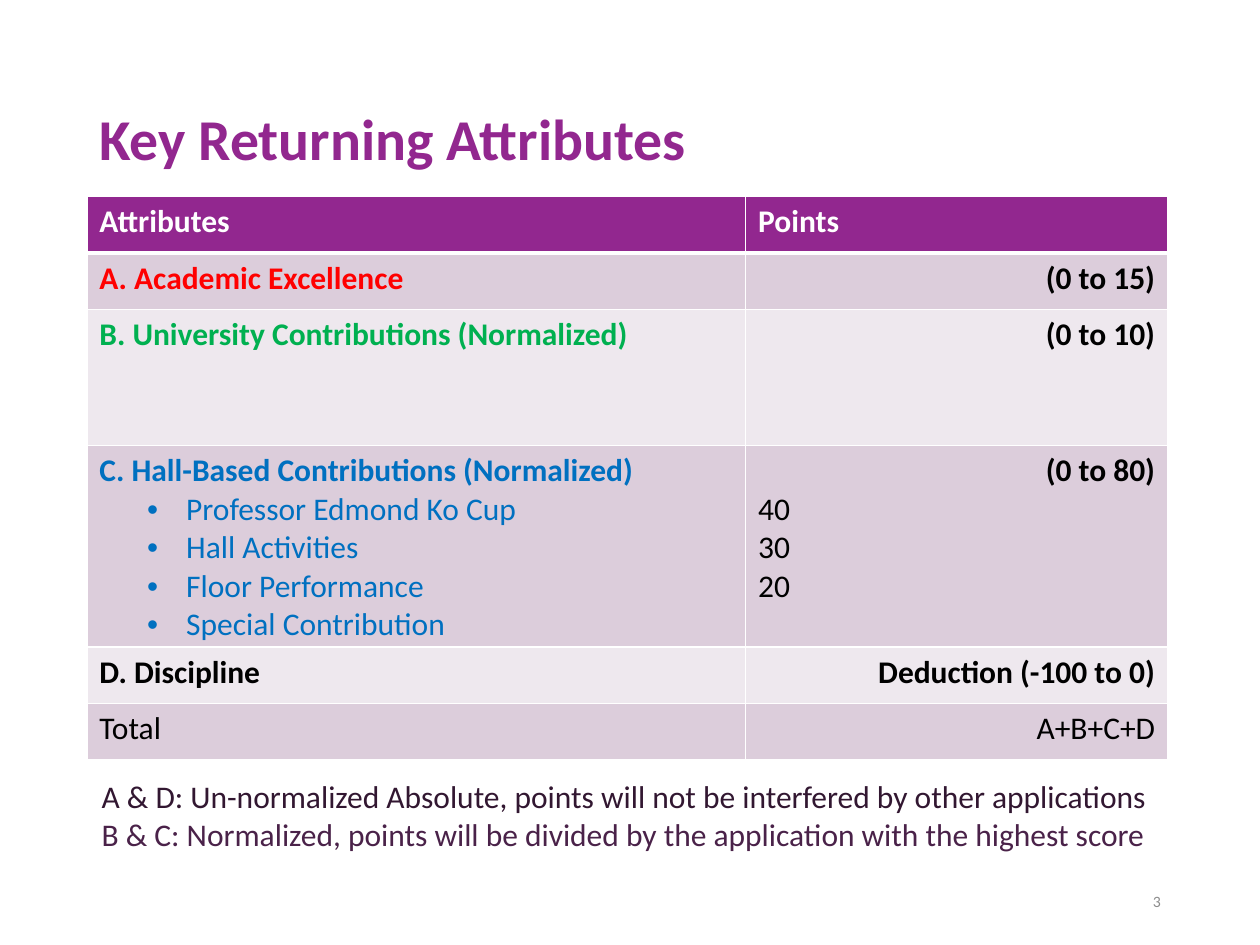
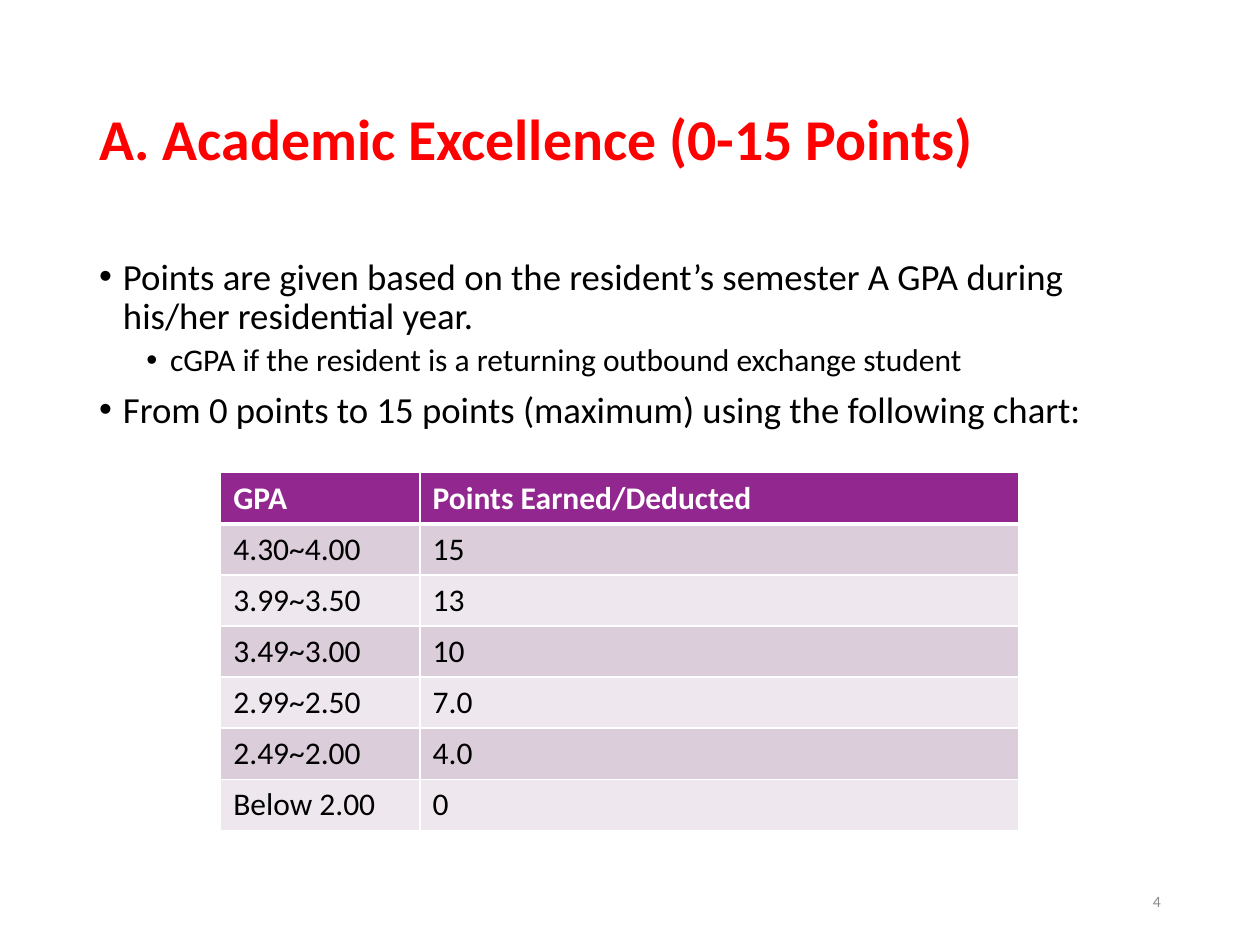
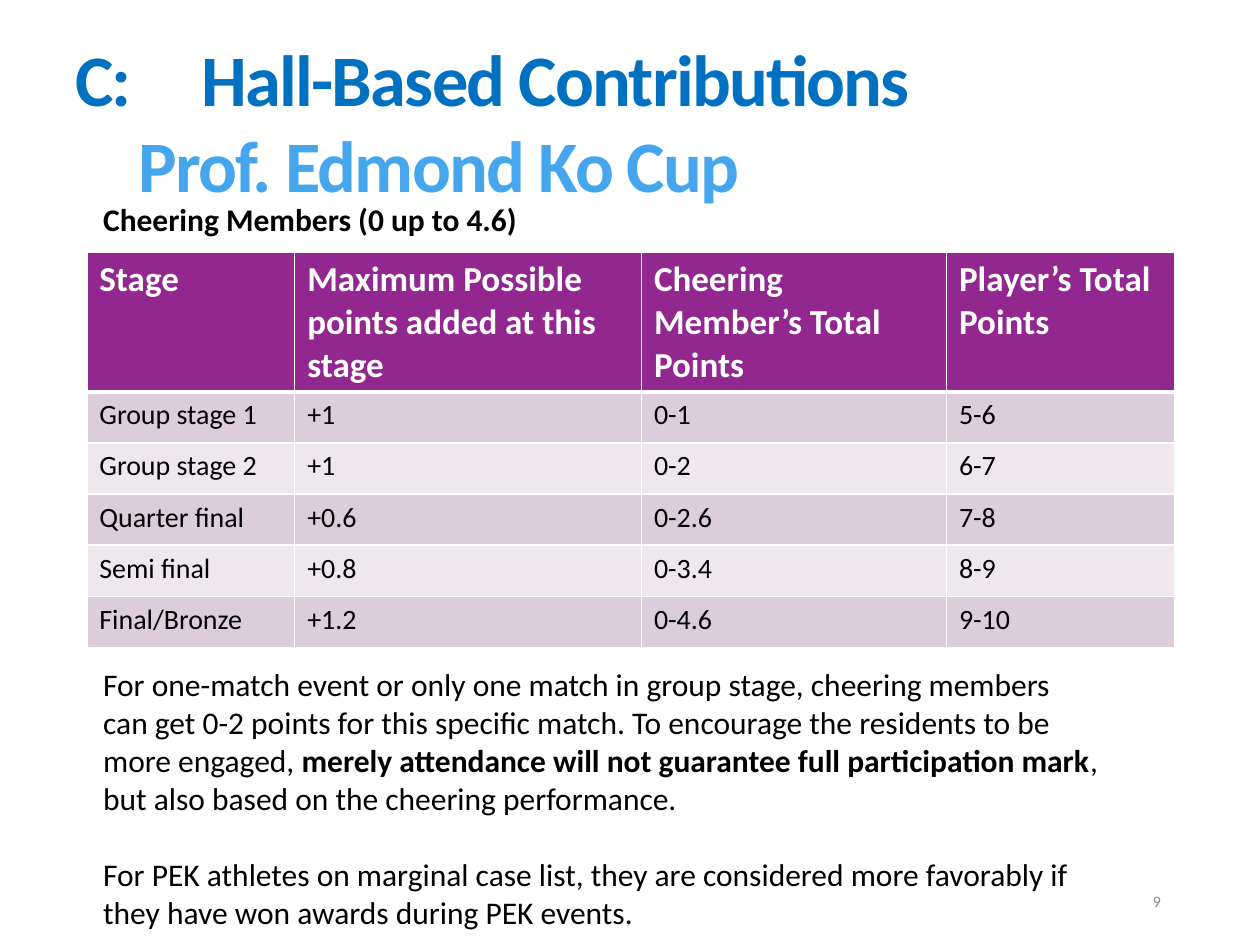
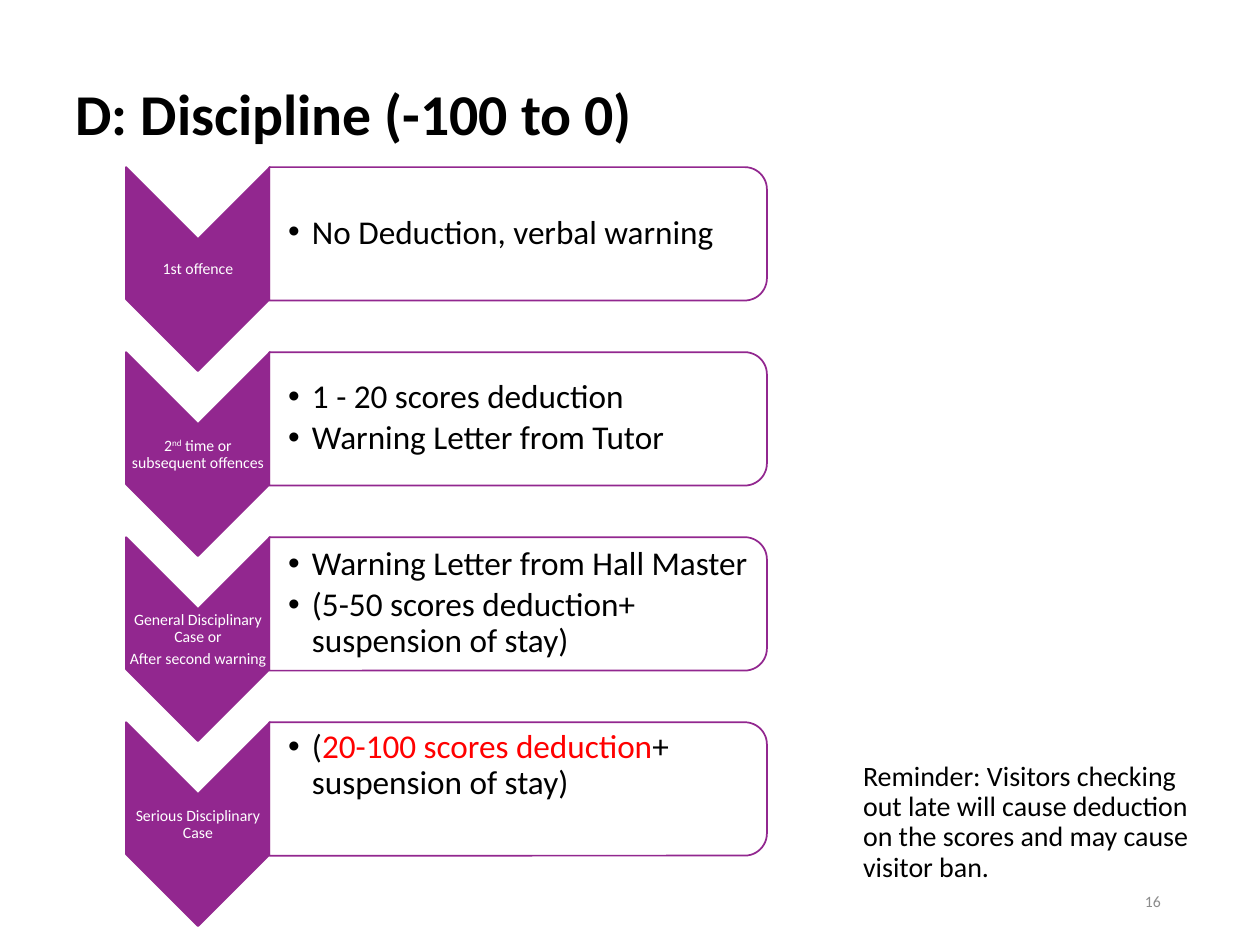
from dataclasses import dataclass

from lxml import etree
from pptx import Presentation
from pptx.dml.color import RGBColor
from pptx.enum.shapes import MSO_SHAPE
from pptx.enum.text import MSO_ANCHOR, PP_ALIGN
from pptx.oxml.ns import qn
from pptx.util import Cm, Pt

LEFT, CENTER, RIGHT = PP_ALIGN.LEFT, PP_ALIGN.CENTER, PP_ALIGN.RIGHT
TOP, MIDDLE = MSO_ANCHOR.TOP, MSO_ANCHOR.MIDDLE
CHEVRON, ROUND_TOP_RECTANGLE = MSO_SHAPE.CHEVRON, MSO_SHAPE.ROUND_2_SAME_RECTANGLE
BLANK_LAYOUT = 6


@dataclass(frozen=True)
class Theme:
    font: str = "Calibri"
    purple: str = "92278F"
    band_dark: str = "DCCDDB"
    band_light: str = "EEE8EE"
    white: str = "FFFFFF"
    black: str = "000000"
    gray: str = "8C8C8C"
    red: str = "FF0000"
    green: str = "00B050"
    blue: str = "0070C0"
    light_blue: str = "45A5ED"
    plum_dark: str = "321731"
    plum: str = "4A2249"
    large_title_size: float = 41.4
    title_size: float = 33
    body_size: float = 21
    table_heading_size: float = 20
    step_size: float = 19
    text_size: float = 18
    note_size: float = 16
    small_size: float = 9


THEME = Theme()


def rgb(color):
    return RGBColor.from_string(color)


def add_run(paragraph, text, size, color, bold=False, spacing=None, baseline=None):
    """Add text to a paragraph; a newline in it becomes a line break."""
    for index, line in enumerate(text.split("\n")):
        if index:
            paragraph.add_line_break()
        run = paragraph.add_run()
        run.text = line
        run.font.name = THEME.font
        run.font.size = Pt(size)
        run.font.bold = bold
        run.font.color.rgb = rgb(color)
        properties = run.font._element
        if spacing is not None:
            properties.set("spc", str(round(spacing * 100)))
        if baseline is not None:
            properties.set("baseline", str(baseline * 1000))


def add_bullet(paragraph, left, hanging):
    properties = paragraph._p.get_or_add_pPr()
    properties.set("marL", str(Cm(left)))
    properties.set("indent", str(-Cm(hanging)))
    etree.SubElement(properties, qn("a:buFont")).set("typeface", "Arial")
    etree.SubElement(properties, qn("a:buChar")).set("char", "•")


def write(frame, text, size=THEME.text_size, color=THEME.black, bold=False,
          spacing=None, align=LEFT, line_spacing=1.0, before=0, after=0,
          level=0, bullet=None):
    """Add a paragraph; text is a string or a list of (text, run format) pairs."""
    paragraph = frame.paragraphs[-1]
    if paragraph.runs:
        paragraph = frame.add_paragraph()
    paragraph.alignment = align
    paragraph.level = level
    paragraph.line_spacing = line_spacing
    paragraph.space_before = Pt(before)
    paragraph.space_after = Pt(after)
    if bullet:
        add_bullet(paragraph, *bullet)
    base = dict(size=size, color=color, bold=bold, spacing=spacing)
    runs = [(text, {})] if isinstance(text, str) else text
    for run_text, run_format in runs:
        add_run(paragraph, run_text, **{**base, **run_format})


def add_text_box(slide, box, anchor=TOP, wrap=True, margins=(0.25, 0.13, 0.25, 0.13)):
    """Return the text frame of a new box; box and margins are in centimetres."""
    frame = slide.shapes.add_textbox(*map(Cm, box)).text_frame
    frame.word_wrap = wrap
    frame.vertical_anchor = anchor
    (frame.margin_left, frame.margin_top,
     frame.margin_right, frame.margin_bottom) = map(Cm, margins)
    return frame


def add_slide(presentation, number):
    slide = presentation.slides.add_slide(presentation.slide_layouts[BLANK_LAYOUT])
    frame = add_text_box(slide, (17.93, 17.65, 5.72, 1.02), MIDDLE)
    write(frame, str(number), size=THEME.small_size, color=THEME.gray, align=RIGHT)
    return slide


def add_title(slide, text, color, box=(1.75, 1.02, 21.9, 3.68)):
    frame = add_text_box(slide, box, MIDDLE)
    write(frame, text, size=THEME.title_size, color=color, bold=True, line_spacing=0.9)


def set_borders(cell, **widths):
    properties = cell._tc.get_or_add_tcPr()
    for side in "LRTB":
        line = etree.SubElement(properties, qn(f"a:ln{side}"),
                                w=str(Pt(widths.get(side, 1))))
        fill = etree.SubElement(line, qn("a:solidFill"))
        etree.SubElement(fill, qn("a:srgbClr")).set("val", THEME.white)


def add_banded_table(slide, left, top, widths, heights, headings, rows,
                     heading_size=THEME.text_size, size=THEME.text_size):
    """Add a table; a body cell is a string or a list of (text, format) paragraphs."""
    table = slide.shapes.add_table(
        len(heights), len(widths), Cm(left), Cm(top),
        Cm(sum(widths)), Cm(sum(heights))).table
    for column, width in zip(table.columns, widths):
        column.width = Cm(width)
    for row, height in zip(table.rows, heights):
        row.height = Cm(height)

    for column, heading in enumerate(headings):
        cell = table.cell(0, column)
        set_borders(cell, B=3)
        fill_cell(cell, THEME.purple)
        write(cell.text_frame, heading, size=heading_size, color=THEME.white, bold=True)

    for row_index, row in enumerate(rows, start=1):
        band = THEME.band_dark if row_index % 2 else THEME.band_light
        for column, content in enumerate(row):
            cell = table.cell(row_index, column)
            set_borders(cell, T=3 if row_index == 1 else 1)
            fill_cell(cell, band)
            paragraphs = [(content, {})] if isinstance(content, str) else content
            for text, text_format in paragraphs:
                write(cell.text_frame, text, **{"size": size, **text_format})


def fill_cell(cell, color):
    cell.fill.solid()
    cell.fill.fore_color.rgb = rgb(color)


def add_turned_shape(slide, kind, box, fill, opacity=100):
    """Add a shape turned by 90 degrees that covers the given box on the slide."""
    left, top, width, height = box
    shift = (width - height) / 2
    shape = slide.shapes.add_shape(
        kind, Cm(left + shift), Cm(top - shift), Cm(height), Cm(width))
    shape.rotation = 90
    shape.shadow.inherit = False
    shape.fill.solid()
    shape.fill.fore_color.rgb = rgb(fill)
    shape.line.color.rgb = rgb(THEME.purple)
    shape.line.width = Pt(1)
    if opacity < 100:
        color = shape._element.spPr.find(f"{qn('a:solidFill')}/{qn('a:srgbClr')}")
        etree.SubElement(color, qn("a:alpha")).set("val", str(opacity * 1000))


def add_discipline_step(slide, top, labels, penalties, anchor=MIDDLE):
    """Add a chevron with its labels and, beside it, a panel of penalties."""
    add_turned_shape(slide, CHEVRON, (2.54, top, 2.9, 4.11), THEME.purple)
    frame = add_text_box(slide, (2.54, top + 1.45, 2.9, 1.24), MIDDLE, margins=(0.02,) * 4)
    for label in labels:
        write(frame, label, size=THEME.small_size, color=THEME.white,
              align=CENTER, line_spacing=0.9, after=3.15)

    add_turned_shape(slide, ROUND_TOP_RECTANGLE, (5.43, top, 10.03, 2.69),
                     THEME.white, opacity=90)
    frame = add_text_box(slide, (5.43, top + 0.13, 9.91, 2.41), anchor,
                         margins=(0.38, 0.02, 0.02, 0.02))
    for penalty in penalties:
        write(frame, penalty, size=THEME.step_size, line_spacing=0.9, after=2.85,
              level=1, bullet=(0.48, 0.48))


def build_attributes_slide(presentation):
    slide = add_slide(presentation, 3)
    add_title(slide, "Key Returning Attributes", THEME.purple)

    def heading(text, color=THEME.black, align=LEFT):
        return text, dict(color=color, bold=True, align=align)

    def points(text):
        return heading(text, align=RIGHT)

    hall_items = ("Professor Edmond Ko Cup", "Hall Activities",
                  "Floor Performance", "Special Contribution")
    hall_format = dict(color=THEME.blue, level=1, bullet=(1.75, 0.79))
    rows = [
        ([heading("A. Academic Excellence", THEME.red)], [points("(0 to 15)")]),
        ([heading("B. University Contributions (Normalized)", THEME.green)],
         [points("(0 to 10)")]),
        ([heading("C. Hall-Based Contributions (Normalized)", THEME.blue)]
         + [(item, hall_format) for item in hall_items],
         [points("(0 to 80)")] + [(score, {}) for score in ("40", "30", "20")]),
        ([heading("D. Discipline")], [points("Deduction (-100 to 0)")]),
        ("Total", [("A+B+C+D", dict(align=RIGHT))]),
    ]
    add_banded_table(slide, 1.75, 3.96, (13.28, 8.51),
                     (1.14, 1.14, 2.74, 4.05, 1.14, 1.14),
                     ("Attributes", "Points"), rows)

    frame = add_text_box(slide, (1.8, 15.54, 21.79, 1.8))
    write(frame, "A & D: Un-normalized Absolute, points will not be interfered "
          "by other applications", color=THEME.plum_dark)
    write(frame, "B & C: Normalized, points will be divided by the application "
          "with the highest score", color=THEME.plum)


def build_academic_slide(presentation):
    slide = add_slide(presentation, 4)
    add_title(slide, "A. Academic Excellence (0-15 Points)", THEME.red)

    frame = add_text_box(slide, (1.75, 5.08, 21.9, 12.09))
    main_point = dict(size=THEME.body_size, line_spacing=0.9, before=7.5,
                      bullet=(0.48, 0.48))
    write(frame, "Points are given based on the resident’s semester A GPA during "
          "his/her residential year.", **main_point)
    write(frame, "cGPA if the resident is a returning outbound exchange student",
          line_spacing=0.9, before=3.8, level=1, bullet=(1.43, 0.48))
    write(frame, "From 0 points to 15 points (maximum) using the following chart:",
          **main_point)

    rows = [("4.30~4.00", "15"), ("3.99~3.50", "13"), ("3.49~3.00", "10"),
            ("2.99~2.50", "7.0"), ("2.49~2.00", "4.0"), ("Below 2.00", "0")]
    add_banded_table(slide, 4.45, 9.53, (4.02, 12.06), (1.03,) * 7,
                     ("GPA", "Points Earned/Deducted"), rows)


def build_cup_slide(presentation):
    slide = add_slide(presentation, 9)
    rows = [
        ("Group stage 1", "+1", "0-1", "5-6"),
        ("Group stage 2", "+1", "0-2", "6-7"),
        ("Quarter final", "+0.6", "0-2.6", "7-8"),
        ("Semi final", "+0.8", "0-3.4", "8-9"),
        ("Final/Bronze", "+1.2", "0-4.6", "9-10"),
    ]
    add_banded_table(slide, 1.75, 5.08, (4.19, 6.99, 6.15, 4.6),
                     (2.82,) + (1.03,) * 5,
                     ("Stage", "Maximum Possible points added at this stage",
                      "Cheering Member’s Total Points", "Player’s Total Points"),
                     rows, THEME.table_heading_size, THEME.note_size)

    frame = add_text_box(slide, (1.83, 13.28, 20.6, 5.64))
    write(frame, [
        ("For one-match event or only one match in group stage, cheering members "
         "can get 0-2 points for this specific match. To encourage the residents "
         "to be more engaged, ", {}),
        ("merely attendance will not guarantee full participation mark", dict(bold=True)),
        (", but also based on the cheering performance.", {}),
    ])
    write(frame, "For PEK athletes on marginal case list, they are considered more "
          "favorably if they have won awards during PEK events.", before=22)

    frame = add_text_box(slide, (1.27, 0.84, 21.16, 3.18), MIDDLE)
    write(frame, [("C: \tHall-Based Contributions\n\t", {}),
                  ("Prof. Edmond Ko Cup", dict(color=THEME.light_blue))],
          size=THEME.large_title_size, color=THEME.blue, bold=True, spacing=-1)

    frame = add_text_box(slide, (1.83, 3.91, 8.92, 1.02), wrap=False)
    write(frame, "Cheering Members (0 up to 4.6)", bold=True)


def build_discipline_slide(presentation):
    slide = add_slide(presentation, 16)
    add_title(slide, "D: Discipline (-100 to 0)", THEME.black, (1.27, 0.76, 22.02, 3.18))

    frame = add_text_box(slide, (17.15, 15.24, 7.47, 2.92))
    write(frame, "Reminder: Visitors checking out late will cause deduction on the "
          "scores and may cause visitor ban.", size=THEME.note_size,
          line_spacing=0.9, before=7.5)

    second_offence = [("2", {}), ("nd", dict(baseline=30)),
                      (" time or subsequent offences", {})]
    serious_penalty = [("(", {}), ("20-100 scores deduction", dict(color=THEME.red)),
                       ("+ suspension of stay)", {})]
    steps = [
        (["1st offence"], ["No Deduction, verbal warning"], MIDDLE),
        ([second_offence], ["1 - 20 scores deduction", "Warning Letter from Tutor"],
         MIDDLE),
        (["General Disciplinary Case or", "After second warning"],
         ["Warning Letter from Hall Master",
          "(5-50 scores deduction+ suspension of stay)"], MIDDLE),
        (["Serious Disciplinary Case"], [serious_penalty], TOP),
    ]
    first_top, step_height = 3.37, 3.73
    for index, (labels, penalties, anchor) in enumerate(steps):
        add_discipline_step(slide, first_top + index * step_height,
                            labels, penalties, anchor)


def main():
    presentation = Presentation()
    presentation.slide_width = Cm(25.4)
    presentation.slide_height = Cm(19.05)
    build_attributes_slide(presentation)
    build_academic_slide(presentation)
    build_cup_slide(presentation)
    build_discipline_slide(presentation)
    presentation.save("out.pptx")


if __name__ == "__main__":
    main()
